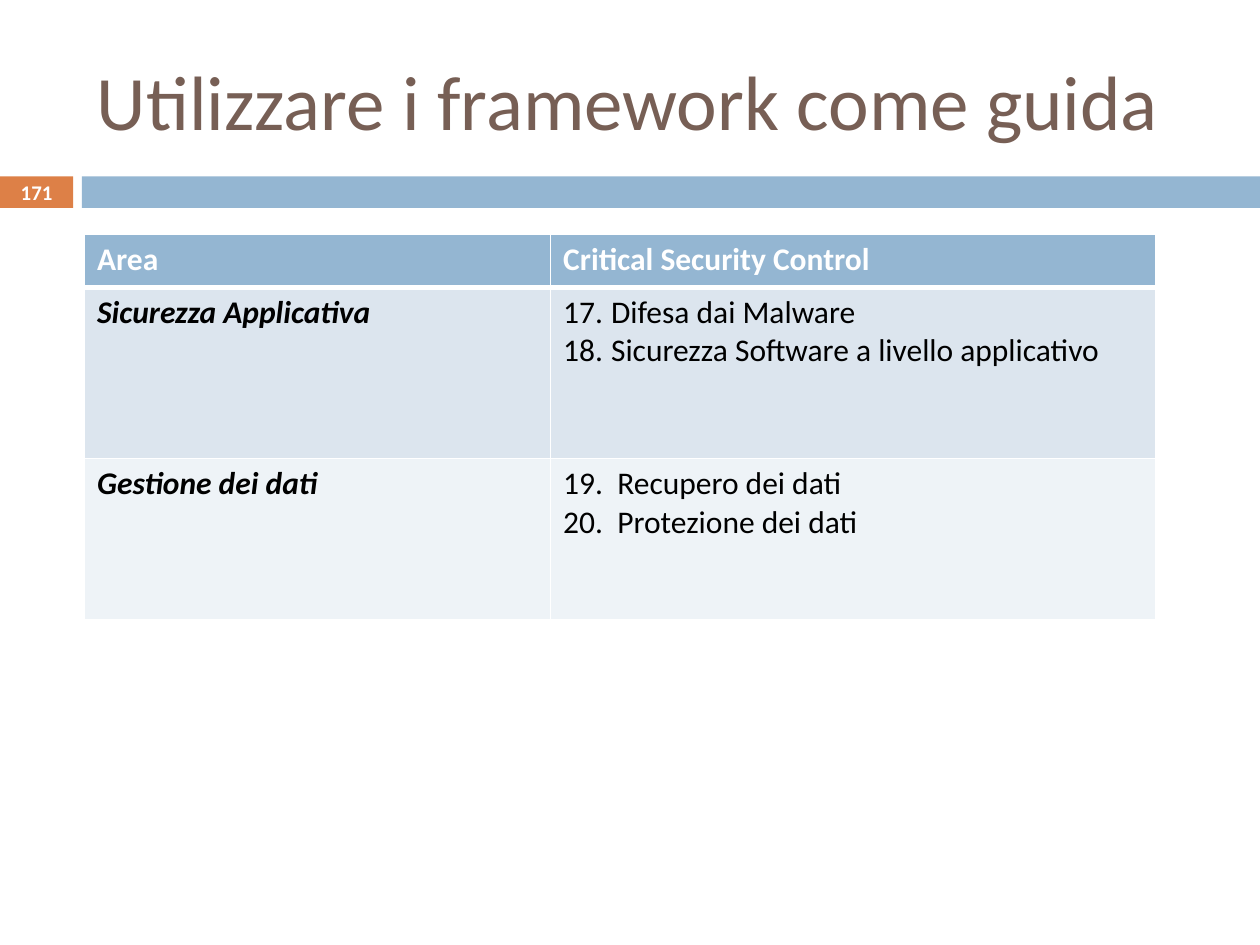
from dataclasses import dataclass

from lxml import etree
from pptx import Presentation
from pptx.dml.color import RGBColor
from pptx.enum.shapes import MSO_SHAPE
from pptx.enum.text import MSO_ANCHOR, PP_ALIGN
from pptx.oxml.ns import qn
from pptx.util import Inches, Pt

RECT = MSO_SHAPE.RECTANGLE
MID = MSO_ANCHOR.MIDDLE
LEFT, CENTER = PP_ALIGN.LEFT, PP_ALIGN.CENTER


@dataclass(frozen=True)
class Theme:
    face: str = "Calibri"
    white: str = "FFFFFF"
    black: str = "000000"
    brown: str = "775F55"
    orange: str = "DD8047"
    blue: str = "94B6D2"
    bands: tuple = ("DCE5EE", "EEF3F7")
    title: float = 44
    body: float = 18
    page: float = 11.9
    thin: float = 1
    thick: float = 3


THEME = Theme()
HEAD = ("Area", "Critical Security Control")
# Each row: area, first list number (None if typed), controls
ROWS = (
    ("Sicurezza Applicativa", 17,
     ("Difesa dai Malware", "Sicurezza Software a livello applicativo")),
    ("Gestione dei dati", None,
     ("19.\tRecupero dei dati", "20.\tProtezione dei dati")),
)
WIDTHS = (3.7, 4.8)
HEIGHTS = (0.42, 1.36, 1.28)


def style(font, size, color, **extra):
    look = {"name": THEME.face, "size": Pt(size), **extra}
    for key, value in look.items():
        setattr(font, key, value)
    font.color.rgb = RGBColor.from_string(color)


def add_bar(slide, box, color):
    bar = slide.shapes.add_shape(RECT, *map(Inches, box))
    bar.shadow.inherit = False
    bar.fill.solid()
    bar.fill.fore_color.rgb = RGBColor.from_string(color)
    bar.line.fill.background()


def add_label(slide, box, text, size, color, align=LEFT, **extra):
    frame = slide.shapes.add_textbox(*map(Inches, box)).text_frame
    for key, value in {"word_wrap": True, "vertical_anchor": MID}.items():
        setattr(frame, key, value)
    para = frame.paragraphs[0]
    para.text, para.alignment = text, align
    style(para.runs[0].font, size, color, **extra)


def set_edges(cell, top, base):
    sides = {"lnL": THEME.thin, "lnR": THEME.thin, "lnT": top, "lnB": base}
    props = cell._tc.get_or_add_tcPr()
    for spot, (tag, width) in enumerate(sides.items()):
        edge = etree.Element(qn(f"a:{tag}"), w=str(Pt(width)))
        fill = etree.SubElement(edge, qn("a:solidFill"))
        etree.SubElement(fill, qn("a:srgbClr"), val=THEME.white)
        props.insert(spot, edge)


def hang(para, depth, start=None):
    """Hanging indent, with automatic numbers when a start is given."""
    props = para._p.get_or_add_pPr()
    props.set("marL", str(Inches(depth)))
    props.set("indent", str(-Inches(depth)))
    if start:
        etree.SubElement(props, qn("a:buFont"), typeface="+mj-lt")
        etree.SubElement(props, qn("a:buAutoNum"),
                         type="arabicPeriod", startAt=str(start))


def fill_cell(cell, lines, back, color, **extra):
    cell.fill.solid()
    cell.fill.fore_color.rgb = RGBColor.from_string(back)
    cell.text_frame.text = "\n".join(lines)
    for para in cell.text_frame.paragraphs:
        style(para.runs[0].font, THEME.body, color, **extra)


def add_grid(slide, left, top):
    size = map(Inches, (left, top, sum(WIDTHS), sum(HEIGHTS)))
    grid = slide.shapes.add_table(len(HEIGHTS), len(WIDTHS), *size).table
    for col, width in zip(grid.columns, WIDTHS):
        col.width = Inches(width)
    for row, height in zip(grid.rows, HEIGHTS):
        row.height = Inches(height)

    # Header row
    for cell, text in zip(grid.rows[0].cells, HEAD):
        fill_cell(cell, [text], THEME.blue, THEME.white, bold=True)
        set_edges(cell, THEME.thin, THEME.thick)

    # Areas and their controls
    for num, (area, start, items) in enumerate(ROWS, 1):
        back = THEME.bands[num - 1]
        name, tasks = grid.rows[num].cells
        fill_cell(name, [area], back, THEME.black, bold=True, italic=True)
        fill_cell(tasks, items, back, THEME.black, bold=False)
        for para in tasks.text_frame.paragraphs:
            hang(para, 0.38 if start else 0.43, start)
        for cell in (name, tasks):
            set_edges(cell, THEME.thick if num == 1 else THEME.thin,
                      THEME.thin)


def main():
    deck = Presentation()
    deck.slide_width, deck.slide_height = Inches(10), Inches(7.5)
    slide = deck.slides.add_slide(deck.slide_layouts[6])

    # Band under the title
    add_bar(slide, (0, 1.4, 0.58, 0.25), THEME.orange)
    add_bar(slide, (0.65, 1.4, 9.35, 0.25), THEME.blue)

    # Title, table and page number
    add_label(slide, (0.67, 0.25, 8.92, 1.08),
              "Utilizzare i framework come guida", THEME.title, THEME.brown)
    add_grid(slide, 0.67, 1.86)
    add_label(slide, (0, 1.39, 0.58, 0.27), "171", THEME.page, THEME.white,
              CENTER, bold=True)

    deck.save("out.pptx")


if __name__ == "__main__":
    main()
